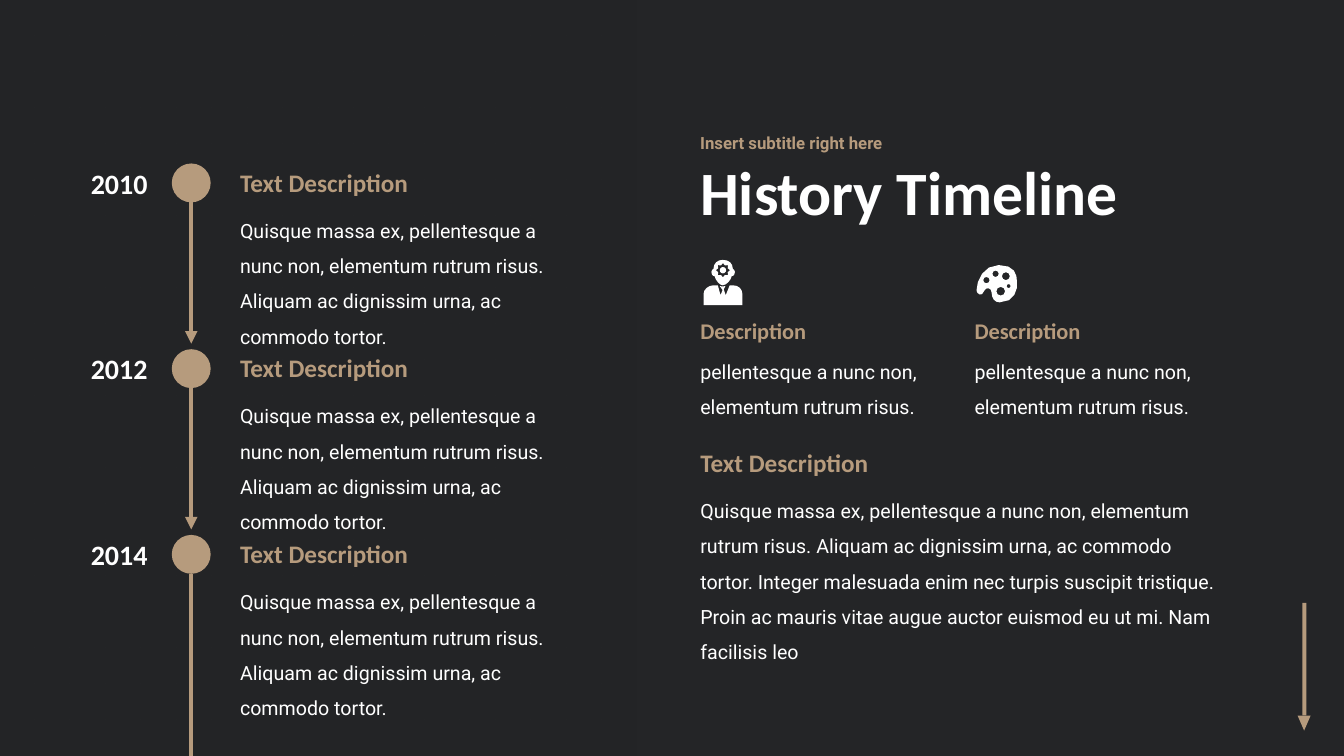
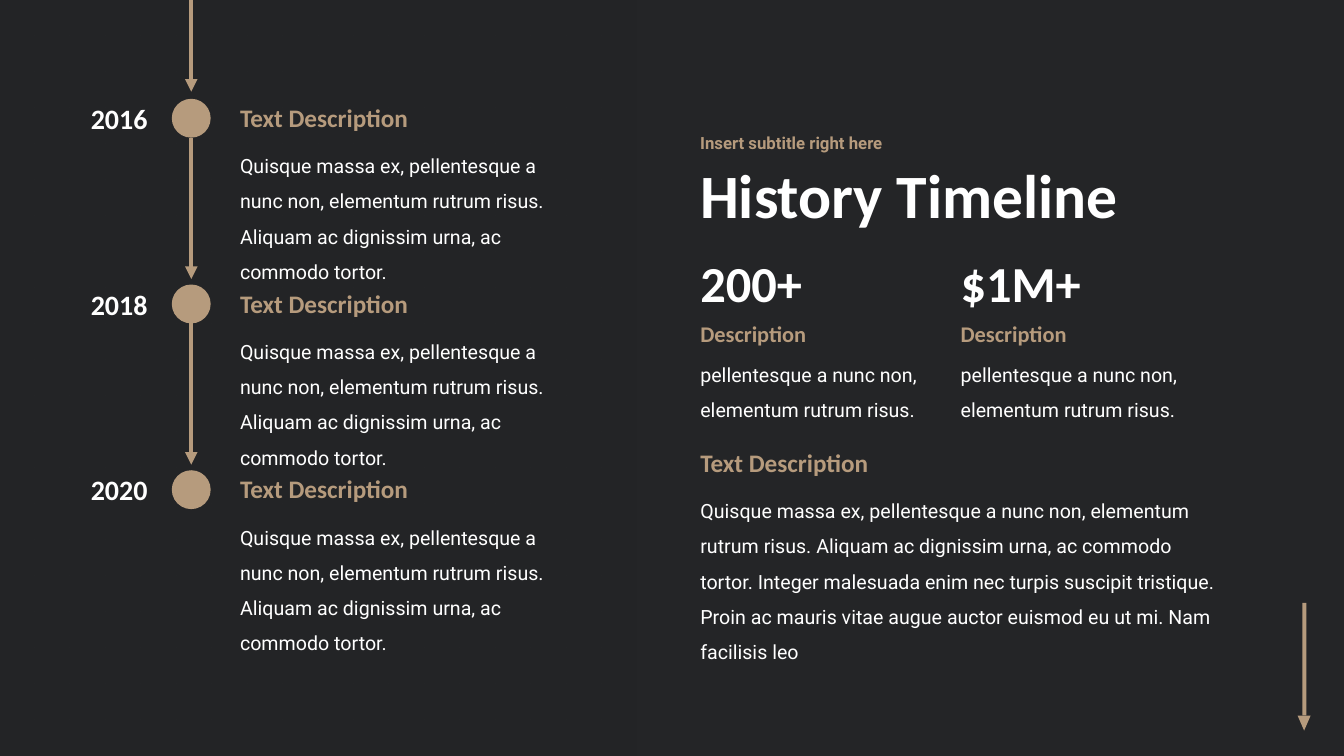
import math
from lxml import etree
from pptx import Presentation
from pptx.dml.color import RGBColor
from pptx.enum import shapes, text
from pptx.oxml import ns
from pptx.util import Cm, Pt

DARK = RGBColor(0x24, 0x25, 0x27)
TAN = RGBColor(0xB6, 0x9B, 0x7D)
WHITE = RGBColor(0xFF, 0xFF, 0xFF)

TITLE = "History Timeline"
SUBTITLE = "Insert subtitle right here"
HEADING = "Text Description"
LABEL = "Description"
EVENT = ("Quisque massa ex, pellentesque a nunc non, elementum rutrum risus. "
         "Aliquam ac dignissim urna, ac commodo tortor.")
SUMMARY = EVENT + (" Integer malesuada enim nec turpis suscipit tristique. "
                   "Proin ac mauris vitae augue auctor euismod eu ut mi. Nam facilisis leo")
FEATURE = "pellentesque a nunc non, elementum rutrum risus."

PAGES = [
    {"years": ["2010", "2012", "2014"], "top": 4.12, "from_above": False,
     "columns": [17.4, 24.31], "shift": 0, "figures": [], "alphas": (80, 100)},
    {"years": ["2016", "2018", "2020"], "top": 2.49, "from_above": True,
     "columns": [17.4, 23.96], "shift": 0.08, "figures": ["200+", "$1M+"],
     "alphas": (100, 80)},
]

WIDTH, HEIGHT = 33.87, 19.05
RIGHT_LEFT = 17.4
PANEL_WIDTH = 16.05
PITCH = 4.68
DOT = 0.98
DOT_LEFT = 4.33
AXIS = DOT_LEFT + DOT / 2
ARROW_GAP = 0.14
BLEED = 5.44

HEADING_STYLE = {"size": 18, "color": TAN, "bold": True}
LABEL_STYLE = {"size": 16, "color": TAN, "bold": True}
BODY_STYLE = {"size": 14, "font": "Roboto", "spacing": 1.5}

SUIT = [(0.74, 0.64), (0.66, 0.64), (0.56, 0.89), (0.51, 0.74), (0.55, 0.66),
        (0.48, 0.67), (0.41, 0.66), (0.48, 0.76), (0.43, 0.89), (0.36, 0.64),
        (0.25, 0.64), (0.13, 0.64, 0, 0.74, 0, 0.86), (0, 1.14), (0.98, 1.14),
        (0.98, 0.86), (0.98, 0.74, 0.89, 0.64, 0.74, 0.64)]
HEAD = [(0.74, 0.23), (0.74, 0.08, 0.64, 0, 0.48, 0), (0.36, 0, 0.25, 0.08, 0.25, 0.23),
        (0.23, 0.23, 0.2, 0.28, 0.2, 0.3), (0.2, 0.36, 0.23, 0.41, 0.28, 0.41),
        (0.3, 0.51, 0.41, 0.64, 0.48, 0.64), (0.58, 0.64, 0.69, 0.51, 0.71, 0.41),
        (0.76, 0.41, 0.79, 0.36, 0.79, 0.3), (0.79, 0.28, 0.76, 0.23, 0.74, 0.23)]
PALETTE = [(0.56, 0), (0.18, 0, 0, 0.38, 0, 0.64), (0, 0.71, 0.13, 0.84, 0.2, 0.64),
           (0.23, 0.56, 0.38, 0.56, 0.38, 0.69), (0.38, 0.84, 0.46, 0.94, 0.58, 0.94),
           (0.97, 0.94, 1.04, 0.61, 1.02, 0.43), (1.02, 0.23, 0.97, 0, 0.56, 0)]
PAINT_WELLS = [(0.25, 0.38, 0.08), (0.48, 0.22, 0.08), (0.61, 0.66, 0.11),
               (0.81, 0.53, 0.05), (0.74, 0.28, 0.1)]
GEAR_X, GEAR_Y, HUB = 0.49, 0.26, 0.08


def write(frame, content, size=14, font="Calibri", color=WHITE, bold=False,
          align=text.PP_ALIGN.LEFT, spacing=1.0, anchor=text.MSO_ANCHOR.TOP):
    frame.word_wrap = True
    frame.vertical_anchor = anchor
    para = frame.paragraphs[0]
    para.alignment = align
    para.line_spacing = spacing
    para.space_before = Pt(0)
    span = para.add_run()
    span.text = content
    span.font.size = Pt(size)
    span.font.name = font
    span.font.bold = bold
    span.font.color.rgb = color


def add_text(page, content, left, top, width, height, **style):
    box = page.shapes.add_textbox(Cm(left), Cm(top), Cm(width), Cm(height))
    write(box.text_frame, content, **style)
    box.text_frame.auto_size = text.MSO_AUTO_SIZE.SHAPE_TO_FIT_TEXT


def fill_placeholder(holder, content, top, height, **style):
    holder.left, holder.top = Cm(RIGHT_LEFT - 0.01), Cm(top)
    holder.width, holder.height = Cm(19.05), Cm(height)
    write(holder.text_frame, content, bold=True, spacing=0.9,
          anchor=text.MSO_ANCHOR.MIDDLE, **style)
    holder.text_frame.auto_size = text.MSO_AUTO_SIZE.NONE


def add_line_down(page, top, bottom):
    line = page.shapes.add_connector(
        shapes.MSO_CONNECTOR.STRAIGHT, Cm(AXIS), Cm(top), Cm(AXIS), Cm(bottom))
    line.line.color.rgb = TAN
    line.line.width = Pt(3)
    etree.SubElement(line.line._get_or_add_ln(), ns.qn("a:tailEnd"), type="triangle")
    etree.SubElement(line._element.spPr, ns.qn("a:effectLst"))


def paint(shape, color):
    shape.shadow.inherit = False
    shape.fill.solid()
    shape.fill.fore_color.rgb = color
    shape.line.fill.background()


def add_shape(page, kind, left, top, width, height, color, rotation=0):
    shape = page.shapes.add_shape(kind, Cm(left), Cm(top), Cm(width), Cm(height))
    paint(shape, color)
    shape.rotation = rotation
    return shape


def add_panel(page, alphas):
    panel = add_shape(page, shapes.MSO_SHAPE.RECTANGLE, 0, 0, PANEL_WIDTH, HEIGHT, DARK)
    panel.fill.gradient()
    panel.fill.gradient_angle = 270
    for stop, alpha in zip(panel.fill.gradient_stops, alphas):
        stop.color.rgb = DARK
    for color, alpha in zip(panel._element.spPr.iter(ns.qn("a:srgbClr")), alphas):
        etree.SubElement(color, ns.qn("a:alpha"), val=str(alpha * 1000))


def add_corner_arrow(page):
    add_shape(page, shapes.MSO_SHAPE.RECTANGLE, 31.45, 16.56, 2.84, 0.1, TAN, 90)
    add_shape(page, shapes.MSO_SHAPE.ISOSCELES_TRIANGLE, 32.7, 18.03, 0.33, 0.38, TAN, 180)


def trace(outline, steps=4):
    points = [outline[0]]
    for part in outline[1:]:
        if len(part) == 2:
            points.append(part)
            continue
        controls = [points[-1], part[:2], part[2:4], part[4:]]
        for step in range(1, steps + 1):
            t = step / steps
            weights = [(1 - t) ** 3, 3 * t * (1 - t) ** 2, 3 * t * t * (1 - t), t ** 3]
            points.append(tuple(sum(w * c[axis] for w, c in zip(weights, controls))
                                for axis in (0, 1)))
    return points


def ring(x, y, *radii, count=8):
    points = []
    for index in range(count):
        angle = 2 * math.pi * index / count
        radius = radii[index % len(radii)]
        points.append((x + radius * math.cos(angle), y + radius * math.sin(angle)))
    return points


def add_icon(page, left, top, contours):
    placed = [[(Cm(left + x), Cm(top + y)) for x, y in contour] for contour in contours]
    builder = page.shapes.build_freeform(*placed[0][0])
    for index, contour in enumerate(placed):
        if index:
            builder.move_to(*contour[0])
        builder.add_line_segments(contour[1:], close=True)
    paint(builder.convert_to_shape(), WHITE)


def add_person(page, left, top):
    add_icon(page, left, top, [trace(SUIT)])
    add_icon(page, left, top, [trace(HEAD), ring(GEAR_X, GEAR_Y, 0.18, 0.13, count=16)])
    add_shape(page, shapes.MSO_SHAPE.OVAL, left + GEAR_X - HUB, top + GEAR_Y - HUB,
              2 * HUB, 2 * HUB, WHITE)


def add_palette(page, left, top):
    add_icon(page, left, top, [trace(PALETTE)] + [ring(*well) for well in PAINT_WELLS])


def add_timeline(page, years, first_top, from_above):
    if from_above:
        arrival = first_top - 0.18
        add_line_down(page, arrival - BLEED, arrival)
    for index, year in enumerate(years):
        top = first_top + index * PITCH
        add_shape(page, shapes.MSO_SHAPE.OVAL, DOT_LEFT, top, DOT, DOT, TAN)
        if index < len(years) - 1:
            add_line_down(page, top + DOT, top + PITCH - ARROW_GAP)
        elif not from_above:
            add_line_down(page, top + DOT, top + DOT + BLEED)
        add_text(page, year, 1.46, top - 0.06, 2.51, 1.12, size=20, bold=True,
                 align=text.PP_ALIGN.RIGHT)
        add_text(page, HEADING, 5.8, top - 0.04, 7.42, 1.02, **HEADING_STYLE)
        add_text(page, EVENT, 5.8, top + 0.97, 8.81, 2.84, **BODY_STYLE)


def add_page(deck, content):
    page = deck.slides.add_slide(deck.slide_layouts[0])
    shift = content["shift"]
    add_corner_arrow(page)
    add_panel(page, content["alphas"])
    fill_placeholder(page.shapes.title, TITLE, 3.61 + shift, 2.62, size=44)
    fill_placeholder(page.placeholders[1], SUBTITLE, 3.14, 0.97,
                     size=12, font="Roboto", color=TAN)
    add_timeline(page, content["years"], content["top"], content["from_above"])
    for left in content["columns"]:
        add_text(page, LABEL, left, 7.87 + shift, 5.08, 0.94, **LABEL_STYLE)
        add_text(page, FEATURE, left, 8.64 + shift, 6.43, 1.96, **BODY_STYLE)
    for left, figure in zip(content["columns"], content["figures"]):
        add_text(page, figure, left, 6.22, 5.1, 1.8, size=36, bold=True)
    add_text(page, HEADING, RIGHT_LEFT, 11.15, 7.42, 1.02, **HEADING_STYLE)
    add_text(page, SUMMARY, RIGHT_LEFT, 12.15, 13.54, 3.76, **BODY_STYLE)
    return page


def main():
    deck = Presentation()
    deck.slide_width, deck.slide_height = Cm(WIDTH), Cm(HEIGHT)
    background = deck.slide_master.background.fill
    background.solid()
    background.fore_color.rgb = DARK
    icon_page, _ = [add_page(deck, content) for content in PAGES]
    add_person(icon_page, 17.73, 6.55)
    add_palette(icon_page, 24.61, 6.68)
    deck.save("out.pptx")


if __name__ == "__main__":
    main()
